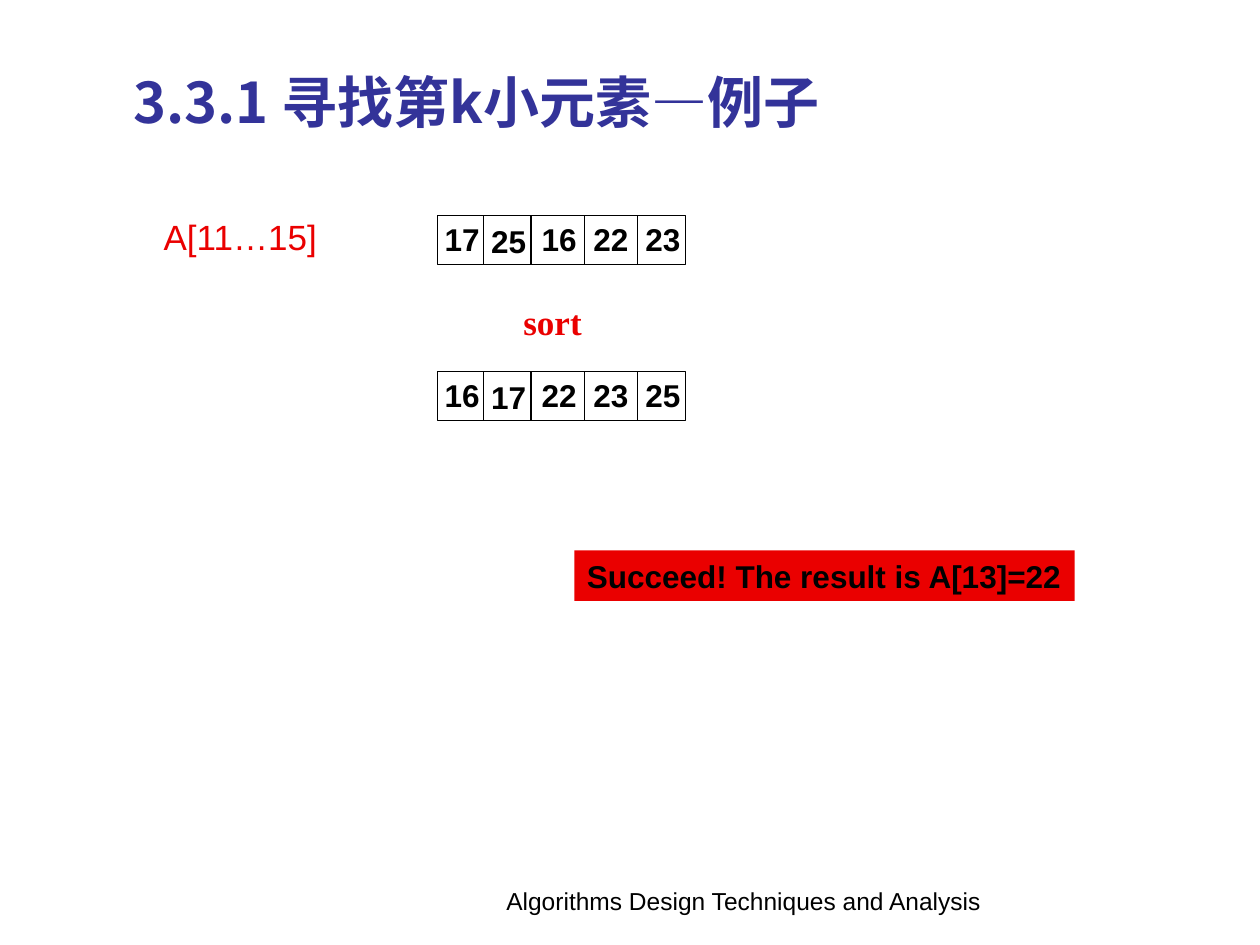
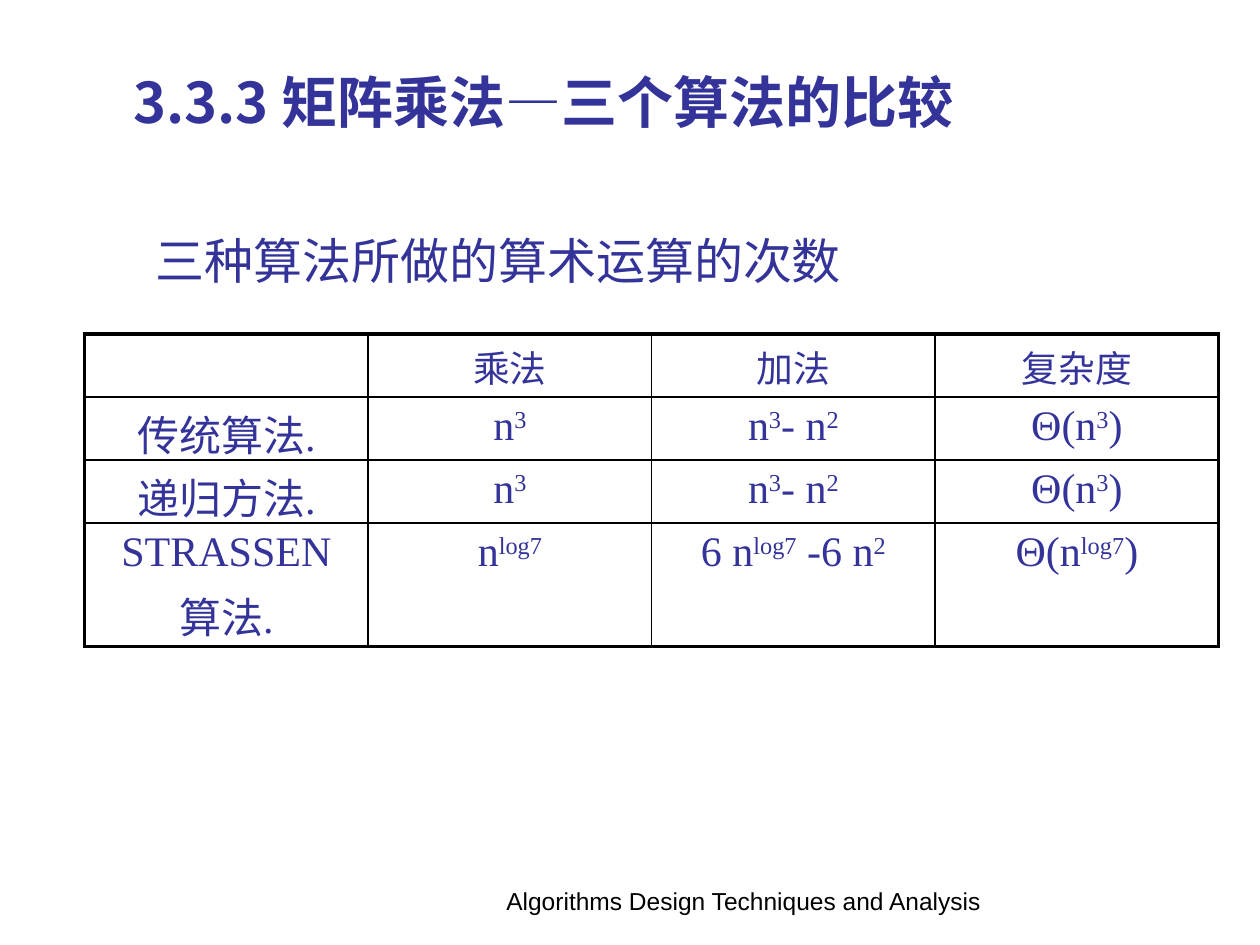
import lxml.etree
import pptx
import pptx.dml.color
import pptx.enum.shapes
import pptx.enum.text
import pptx.oxml.ns
import pptx.util

Pt = pptx.util.Pt
RGB = pptx.dml.color.RGBColor.from_string
PP_ALIGN = pptx.enum.text.PP_ALIGN
MSO_ANCHOR = pptx.enum.text.MSO_ANCHOR
RECTANGLE = pptx.enum.shapes.MSO_SHAPE.RECTANGLE
STRAIGHT = pptx.enum.shapes.MSO_CONNECTOR.STRAIGHT
qn = pptx.oxml.ns.qn

COLORS = {"ink": "000000", "paper": "FFFFFF", "blue": "333399", "red": "EA0000"}
TITLES = ["3.3.1 寻找第k小元素—例子", "3.3.3 矩阵乘法—三个算法的比较"]
FOOTER = "Algorithms Design Techniques and Analysis"


def style(p, size, font, color, bold=False, align=PP_ALIGN.LEFT):
    p.alignment = align
    p.font.size = Pt(size)
    p.font.name = font
    p.font.bold = bold
    p.font.color.rgb = RGB(COLORS[color])


def add_text(slide, box, text, size, font, color, bold=False,
             align=PP_ALIGN.LEFT, wrap=True):
    sp = slide.shapes.add_textbox(*map(Pt, box))
    tf = sp.text_frame
    tf.word_wrap = wrap
    tf.text = text
    style(tf.paragraphs[0], size, font, color, bold, align)
    return sp


prs = pptx.Presentation()
prs.slide_width, prs.slide_height = Pt(720), Pt(540)

# Title and footer of every slide
slides = []
for title in TITLES:
    s = prs.slides.add_slide(prs.slide_layouts[5])
    sp = s.shapes.title
    sp.left, sp.top, sp.width, sp.height = Pt(69), Pt(21.6), Pt(620), Pt(72.7)
    tf = sp.text_frame
    tf.text = title
    tf.vertical_anchor = MSO_ANCHOR.MIDDLE
    style(tf.paragraphs[0], 32, "Noto Sans CJK SC", "blue", bold=True)
    add_text(s, (275, 502.5, 300, 34), FOOTER, 14, "Arial", "ink",
             align=PP_ALIGN.CENTER)
    slides.append(s)
example, comparison = slides

# Slide 1: the array before and after sorting
ARRAY_LEFT, ARRAY_WIDTH, ARRAY_HEIGHT = 250, 141.7, 28
DIVIDERS = [276.4, 303.4, 334, 364.5]
VALUE_LEFTS = [247, 273.6, 302.4, 332, 361.7]
ARRAYS = [(123, ["17", "25", "16", "22", "23"]),
          (212.2, ["16", "17", "22", "23", "25"])]

for top, values in ARRAYS:
    sp = example.shapes.add_shape(RECTANGLE, Pt(ARRAY_LEFT), Pt(top),
                                  Pt(ARRAY_WIDTH), Pt(ARRAY_HEIGHT))
    sp.shadow.inherit = False
    sp.fill.solid()
    sp.fill.fore_color.rgb = RGB(COLORS["paper"])
    sp.line.color.rgb = RGB(COLORS["ink"])
    sp.line.width = Pt(0.75)
    for x in DIVIDERS:
        line = example.shapes.add_connector(STRAIGHT, Pt(x), Pt(top),
                                            Pt(x), Pt(top + ARRAY_HEIGHT))
        line.line.color.rgb = RGB(COLORS["ink"])
        line.line.width = Pt(0.75)
        lxml.etree.SubElement(line._element.spPr, qn("a:effectLst"))
    for i, (x, value) in enumerate(zip(VALUE_LEFTS, values)):
        y = top + 0.5 if i == 1 else top - 0.6
        add_text(example, (x, y, 34.6, 28.8), value, 18, "Arial", "ink",
                 bold=True, wrap=False)

add_text(example, (86.4, 119.5, 103.7, 31), "A[11…15]", 20, "Arial", "red",
         wrap=False)
add_text(example, (292, 168, 96.5, 31), "sort", 20, "Times New Roman", "red",
         bold=True)
result = add_text(example, (328.3, 314.6, 285.8, 28.8),
                  "Succeed! The result is A[13]=22", 18, "Arial", "ink",
                  bold=True, wrap=False)
result.fill.solid()
result.fill.fore_color.rgb = RGB(COLORS["red"])

# Slide 2: operation counts; "^" separates base text from superscript in turn
ROWS = [
    ["", "乘法", "加法", "复杂度"],
    ["传统算法.", "n^3", "n^3^- n^2", "Θ(n^3^)"],
    ["递归方法.", "n^3", "n^3^- n^2", "Θ(n^3^)"],
    ["STRASSEN\n算法.", "n^log7", "6 n^log7^ -6 n^2", "Θ(n^log7^)"],
]
ROW_HEIGHTS = [36, 36, 36, 70.5]
COLUMN_WIDTH = 162

add_text(comparison, (82, 128.2, 613.4, 51), "三种算法所做的算术运算的次数", 28,
         "Times New Roman", "blue")
n_rows, n_cols = len(ROWS), len(ROWS[0])
table = comparison.shapes.add_table(n_rows, n_cols, Pt(48.4), Pt(190.8),
                                    Pt(COLUMN_WIDTH * n_cols),
                                    Pt(sum(ROW_HEIGHTS))).table
table.first_row = table.horz_banding = False
for column in table.columns:
    column.width = Pt(COLUMN_WIDTH)

for i, (row, height) in enumerate(zip(ROWS, ROW_HEIGHTS)):
    table.rows[i].height = Pt(height)
    for j, text in enumerate(row):
        cell = table.cell(i, j)
        tcPr = cell._tc.get_or_add_tcPr()
        outer_edges = {"lnL": j == 0, "lnR": j == n_cols - 1,
                       "lnT": i == 0, "lnB": i == n_rows - 1}
        for side, outer in outer_edges.items():
            ln = lxml.etree.SubElement(tcPr, qn("a:" + side),
                                       w=str(Pt(2.25 if outer else 1)))
            fill = lxml.etree.SubElement(ln, qn("a:solidFill"))
            lxml.etree.SubElement(fill, qn("a:srgbClr"), val=COLORS["ink"])
        cell.fill.background()
        tf = cell.text_frame
        for k, paragraph_text in enumerate(text.split("\n")):
            p = tf.add_paragraph() if k else tf.paragraphs[0]
            if k:
                p.space_before = Pt(5)
            style(p, 24 if i else 21, "Times New Roman", "blue",
                  align=PP_ALIGN.CENTER)
            for n, part in enumerate(paragraph_text.split("^")):
                if not part:
                    continue
                r = p.add_run()
                r.text = part
                if n % 2:
                    r._r.get_or_add_rPr().set("baseline", "30000")

prs.save("out.pptx")
